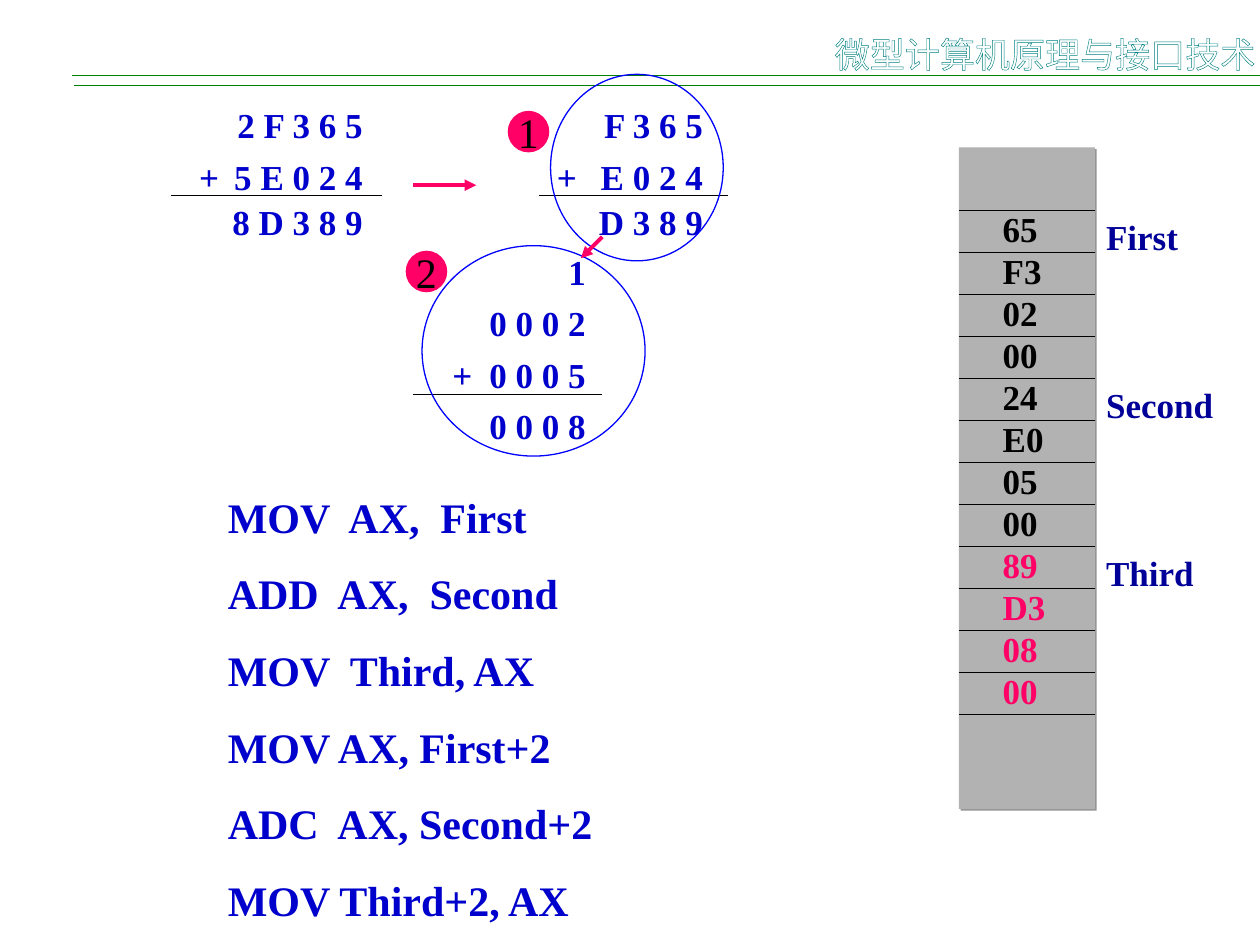
from lxml import etree
from pptx import Presentation
from pptx.dml.color import RGBColor
from pptx.enum.shapes import MSO_CONNECTOR, MSO_SHAPE
from pptx.enum.text import MSO_ANCHOR, PP_ALIGN
from pptx.oxml.ns import qn
from pptx.util import Inches, Pt

STRAIGHT = MSO_CONNECTOR.STRAIGHT
OVAL, RECT = MSO_SHAPE.OVAL, MSO_SHAPE.RECTANGLE
MIDDLE = MSO_ANCHOR.MIDDLE
CENTER = PP_ALIGN.CENTER
SERIF, CJK = "Times New Roman", "Noto Sans CJK SC"
BLUE, NAVY, RING = "0000CC", "000099", "0000FF"
PINK, BLACK, GREEN, TEAL = "FF0066", "000000", "008000", "008080"


def rgb(value):
    return RGBColor.from_string(value)


def add_xml(parent, tag, **attrs):
    return etree.SubElement(parent, qn(tag), attrs)


def add_line(s, x1, y1, x2, y2, color=BLACK, width=0.75, arrow=False):
    c = s.shapes.add_connector(STRAIGHT, Inches(x1), Inches(y1), Inches(x2), Inches(y2))
    c.line.color.rgb = rgb(color)
    c.line.width = Pt(width)
    if arrow:
        add_xml(c.line._get_or_add_ln(), "a:tailEnd", type="triangle")
    add_xml(c._element.spPr, "a:effectLst")


def add_figure(s, kind, box, fill=None, line=None):
    sp = s.shapes.add_shape(kind, *map(Inches, box))
    sp.shadow.inherit = False
    if fill:
        sp.fill.solid()
        sp.fill.fore_color.rgb = rgb(fill)
    else:
        sp.fill.background()
    if line:
        sp.line.color.rgb = rgb(line)
        sp.line.width = Pt(0.75)
    else:
        sp.line.fill.background()
    return sp


def add_run(p, text, size, color, bold=True, font=SERIF):
    r = p.add_run()
    r.text = text
    r.font.size = Pt(size)
    r.font.bold = bold
    r.font.name = font
    r.font.color.rgb = rgb(color)
    return r


def add_text(s, box, rows, size, before=0, tab=None, inset=0.1):
    """Write one paragraph per (text, colour, line spacing) row; tab is a right tab stop."""
    tf = s.shapes.add_textbox(*map(Inches, box)).text_frame
    tf.word_wrap = True
    tf.margin_left = tf.margin_right = Inches(inset)
    for i, (text, color, spacing) in enumerate(rows):
        p = tf.add_paragraph() if i else tf.paragraphs[0]
        p.line_spacing = spacing
        if i:
            p.space_before = Pt(before)
        if tab:
            tabs = add_xml(p._p.get_or_add_pPr(), "a:tabLst")
            add_xml(tabs, "a:tab", pos=str(Inches(tab)), algn="r")
        add_run(p, text, size, color)


def draw_header(s, x, y, width):
    add_line(s, x, y, x + width, y, GREEN)
    add_line(s, x + 0.02, y + 0.08, x + width, y + 0.08, GREEN)
    tf = s.shapes.add_textbox(Inches(6.5), Inches(y - 0.39), Inches(3.59), Inches(0.28)).text_frame
    tf.word_wrap = False
    p = tf.paragraphs[0]
    p.alignment = CENTER
    r = add_run(p, "微型计算机原理与接口技术", 20, "FFFFFF", False, CJK)
    rpr = r.font._element
    add_xml(rpr, "a:ea", typeface=CJK)
    outline = etree.Element(qn("a:ln"), w=str(Pt(0.75)))
    add_xml(add_xml(outline, "a:solidFill"), "a:srgbClr", val=TEAL)
    rpr.insert(0, outline)


def draw_sum(s, box, rows, rule):
    """Stack the operands with digits flush right, and rule off the result."""
    width = box[2]
    add_text(s, box, [(text, BLUE, spacing) for text, spacing in rows],
             20, before=12.5, tab=width - 0.1, inset=0)
    x1, x2, y = rule
    add_line(s, x1, y, x2, y)


def draw_step(s, number, badge, ring):
    """Circle one step of the addition and number it."""
    sp = add_figure(s, OVAL, (*badge, 0.33, 0.33), fill=PINK)
    tf = sp.text_frame
    tf.word_wrap = False
    tf.vertical_anchor = MIDDLE
    p = tf.paragraphs[0]
    p.alignment = CENTER
    add_run(p, number, 24, BLACK, False)
    add_figure(s, OVAL, ring, line=RING)


def draw_memory(s, x, y, width, height):
    block = add_figure(s, RECT, (x, y, width, height), fill="B2B2B2")
    effects = block._element.spPr.find(qn("a:effectLst"))
    shadow = add_xml(effects, "a:outerShdw", dist=str(Pt(1.4)), dir="2700000")
    add_xml(shadow, "a:srgbClr", val="969696")

    cell, first = 1 / 3, y + 0.5
    values = ["65", "F3", "02", "00", "24", "E0", "05", "00", "89", "D3", "08", "00"]
    for i in range(len(values) + 1):
        add_line(s, x, first + i * cell, x + width, first + i * cell)
    # Half of a 23 pt line plus 12 pt before gives the height of one cell.
    rows = [(v, BLACK if i < 8 else PINK, 0.5) for i, v in enumerate(values)]
    add_text(s, (x + 0.25, y + 0.57, 0.67, 4.1), rows, 20, before=12)
    for i, name in enumerate(["First", "Second", "Third"]):
        top = first + 4 * i * cell - 0.01
        add_text(s, (x + width - 0.01, top, 1.05, 0.42), [(name, NAVY, 1)], 20)


def draw_code(s, box):
    lines = ["MOV  AX,  First", "ADD  AX,  Second", "MOV  Third, AX",
             "MOV AX, First+2", "ADC  AX, Second+2", "MOV Third+2, AX"]
    add_text(s, box, [(line, BLUE, 1) for line in lines], 24, before=15)


def main():
    prs = Presentation()
    prs.slide_width, prs.slide_height = Inches(10), Inches(7.5)
    s = prs.slides.add_slide(prs.slide_layouts[6])

    draw_header(s, 0.57, 0.6, 9.43)
    draw_sum(s, (1.58, 0.77, 1.4, 1.2),
             [("\t2 F 3 6 5", 1), ("+\t5 E 0 2 4", 0.7), ("\t8 D 3 8 9", 0.5)],
             (1.36, 3.03, 1.55))
    draw_sum(s, (4.42, 0.77, 1.26, 1.2),
             [("\tF 3 6 5", 1), ("+\tE 0 2 4", 0.7), ("\tD 3 8 9", 0.5)],
             (4.28, 5.78, 1.55))
    draw_sum(s, (3.59, 2.03, 1.16, 1.5),
             [("\t1", 0.7), ("\t0 0 0 2", 0.7), ("+\t0 0 0 5", 0.7), ("\t0 0 0 8", 0.7)],
             (3.28, 4.78, 3.13))
    draw_step(s, "1", (4.03, 0.88), (4.37, 0.59, 1.37, 1.48))
    draw_step(s, "2", (3.22, 1.99), (3.35, 1.95, 1.77, 1.67))
    add_line(s, 3.28, 1.47, 3.78, 1.47, PINK, 2.25, arrow=True)
    add_line(s, 4.78, 1.88, 4.61, 2.05, PINK, 2.25, arrow=True)
    draw_memory(s, 7.61, 1.17, 1.08, 5.25)
    draw_code(s, (1.71, 3.85, 4.1, 3.54))
    prs.save("out.pptx")


if __name__ == "__main__":
    main()
